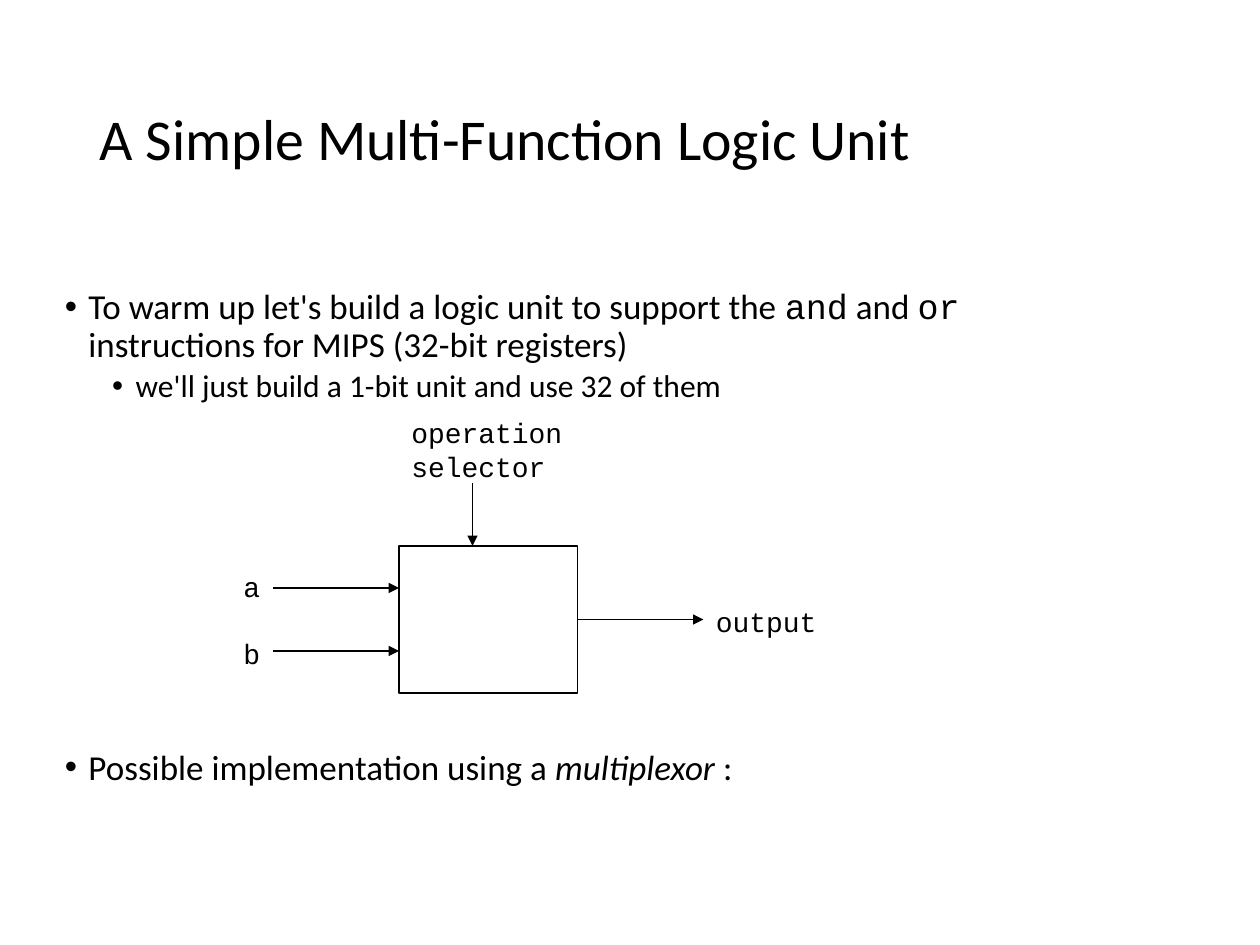
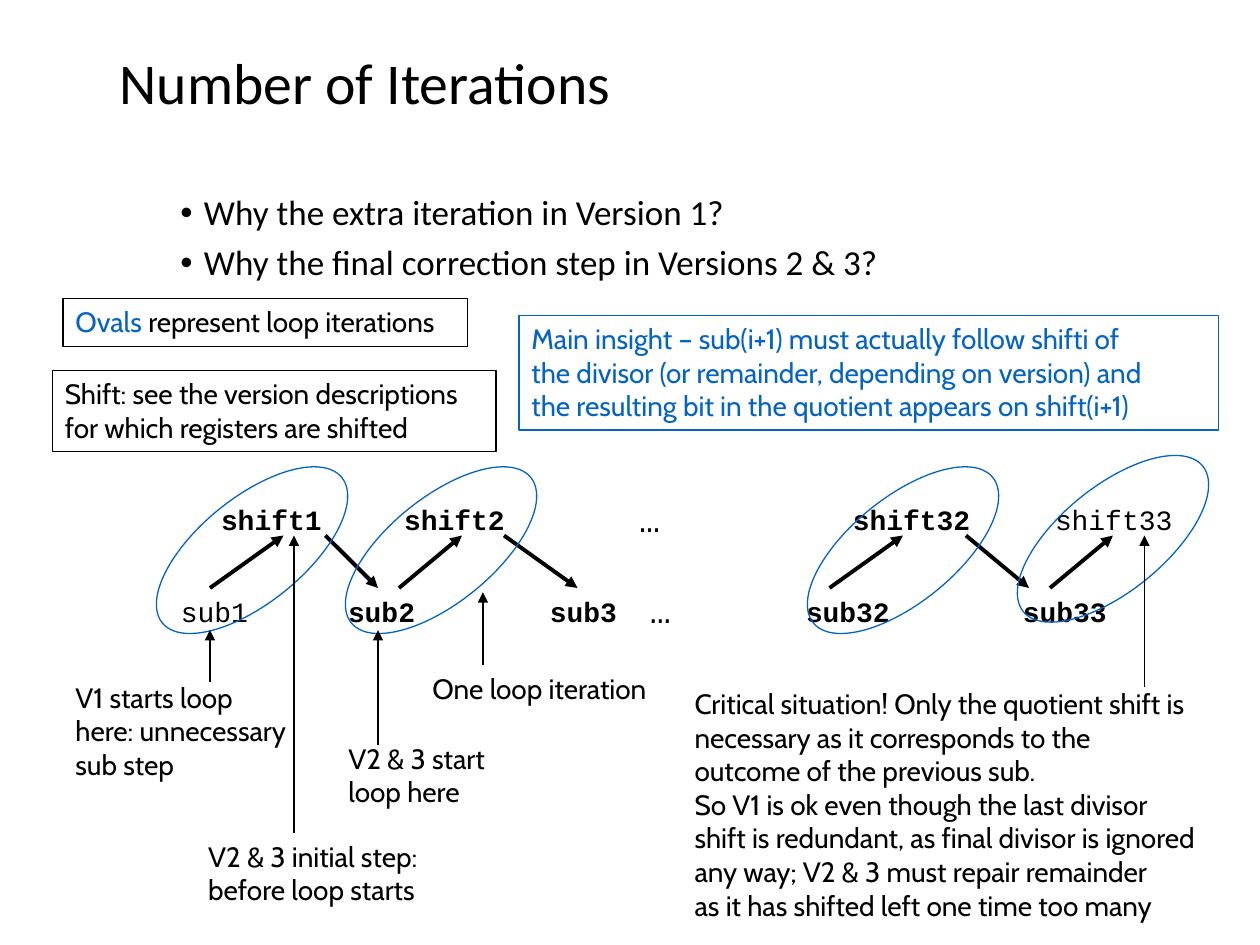
from lxml.etree import SubElement
from pptx import Presentation
from pptx.dml.color import RGBColor
from pptx.enum.shapes import MSO_CONNECTOR, MSO_SHAPE
from pptx.enum.text import MSO_ANCHOR, PP_ALIGN
from pptx.oxml.ns import qn
from pptx.util import Pt

BLACK = RGBColor(0x00, 0x00, 0x00)
BLUE = RGBColor(0x05, 0x63, 0xC1)

TITLE = {"name": "Calibri", "size": Pt(33)}
BODY = {"name": "Calibri", "size": Pt(20)}
SUB_BODY = {"name": "Calibri", "size": Pt(18)}
CODE = {"name": "Courier New", "size": Pt(16)}
CODE_BODY = {"name": "Courier New", "size": Pt(20)}
NOTE = {"name": "Cabin", "size": Pt(16)}
THIN, THICK = 0.75, 2.25
BULLET_INDENTS = (13.5, 40.5)
BULLET_HANG = 13.5
BULLET_GAPS = (7, 3)

LOGIC_TITLE = ("A Simple Multi-Function Logic Unit", (49.7, 28.8, 620.6, 104.4))
LOGIC_INTRO = [
    (0, [("To warm up let's build a logic unit to support the ", BODY),
         ("and", CODE_BODY), (" and ", BODY), ("or", CODE_BODY),
         (" instructions for MIPS (32-bit registers)", BODY)]),
    (1, [("we'll just build a 1-bit unit and use 32 of them", SUB_BODY)]),
]
LOGIC_CLOSING = [
    (0, [("Possible implementation using a ", BODY),
         ("multiplexor ", BODY | {"italic": True}), (":", BODY)]),
]
LOGIC_UNIT = (228, 312, 102, 84)
SIGNAL_ARROWS = [
    (156, 336, 228, 336),
    (156, 372, 228, 372),
    (330, 354, 402, 354),
    (270, 276, 270, 312),
]
SIGNAL_LABELS = [
    (["a"], (132, 322, 26, 26)),
    (["b"], (132, 360, 26, 26)),
    (["output"], (402, 342, 80, 26)),
    (["operation", "selector"], (228, 234, 104, 46)),
]

ITERATION_TITLE = ("Number of Iterations", (61.2, 0, 415.4, 98))
QUESTIONS = [
    (0, [("Why the extra iteration in Version 1?", BODY)]),
    (0, [("Why the final correction step in Versions 2 & 3?", BODY)]),
]
BOLD_CODE = CODE | {"bold": True}
SHIFT_BASELINE, SUB_BASELINE = 300.6, 353.1
STEPS = [
    (SHIFT_BASELINE, [("shift1", 126.3, BOLD_CODE), ("shift2", 230.9, BOLD_CODE),
                      ("…", 365.2, CODE_BODY), ("shift32", 487.4, BOLD_CODE),
                      ("shift33", 602.9, CODE)]),
    (SUB_BASELINE, [("sub1", 103.4, CODE), ("sub2", 198.9, BOLD_CODE),
                    ("sub3", 314.3, BOLD_CODE), ("…", 371.4, CODE_BODY),
                    ("sub32", 460.6, BOLD_CODE), ("sub33", 584.6, BOLD_CODE)]),
]
SHIFT_Y, SUB_Y = 306, 336
RISING_ARROWS = [(120, 162), (228, 264), (474, 516), (600, 636)]
FALLING_ARROWS = [(186, 216), (288, 330), (552, 588)]
LOOP_OVALS = [(78, 284.4), (186, 284.4), (450, 284.4), (570, 277.9)]
OVAL_SIZE = (132, 60)
OVAL_ROTATION = 321
POINTERS = [
    (654, 392.4, SHIFT_Y),
    (216, 426, 360),
    (120, 390, 360),
    (168, 476, SHIFT_Y),
    (276, 380, 338.4),
]
NOTES = [
    (["V1 starts loop", "here: unnecessary", "sub step"], (36, 385.2, 174.2, 65)),
    (["Critical situation! Only the quotient shift is",
      "necessary as it corresponds to the",
      "outcome of the previous sub.",
      "So V1 is ok even though the last divisor",
      "shift is redundant, as final divisor is ignored",
      "any way; V2 & 3 must repair remainder",
      "as it has shifted left one time too many"], (389.8, 388.8, 322.6, 142)),
    (["V2 & 3 start", "loop here"], (192, 420, 138.2, 46)),
    (["V2 & 3 initial step:", "before loop starts"], (111.9, 476, 144.7, 46)),
    (["One loop iteration"], (240, 380, 141, 26.6)),
]
BLUE_NOTE = NOTE | {"color": BLUE}
FRAMED_NOTES = [
    (BLACK, [[("Ovals ", BLUE_NOTE), ("represent loop iterations", NOTE)]],
     (36, 170.6, 231, 27.4)),
    (BLACK, [[("Shift: see the version descriptions", NOTE)],
             [("for which registers are shifted", NOTE)]],
     (30, 211.6, 253.5, 46.6)),
    (BLUE, [[("Main insight – sub(i+1) must actually follow shifti of", BLUE_NOTE)],
            [("the divisor (or remainder, depending on version) and", BLUE_NOTE)],
            [("the resulting bit in the quotient appears on shift(i+1)", BLUE_NOTE)]],
     (296.6, 180.2, 399.6, 65.6)),
]


def in_points(values):
    return [Pt(value) for value in values]


def add_runs(paragraph, runs):
    for text, style in runs:
        run = paragraph.add_run()
        run.text = text
        run.font.color.rgb = style.get("color", BLACK)
        for attribute, value in style.items():
            if attribute != "color":
                setattr(run.font, attribute, value)


def write_lines(frame, lines):
    frame.word_wrap = True
    frame.vertical_anchor = MSO_ANCHOR.TOP
    for index, runs in enumerate(lines):
        paragraph = frame.add_paragraph() if index else frame.paragraphs[0]
        paragraph.alignment = PP_ALIGN.LEFT
        add_runs(paragraph, runs)


def add_text(slide, lines, box):
    frame = slide.shapes.add_textbox(*in_points(box)).text_frame
    write_lines(frame, lines)
    return frame


def add_bullets(slide, items, box):
    frame = add_text(slide, [runs for _, runs in items], box)
    for index, (level, _) in enumerate(items):
        paragraph = frame.paragraphs[index]
        paragraph.level = level
        paragraph.line_spacing = 0.9
        if index:
            paragraph.space_before = Pt(BULLET_GAPS[level])
        properties = paragraph._p.get_or_add_pPr()
        properties.set("marL", str(Pt(BULLET_INDENTS[level])))
        properties.set("indent", str(-Pt(BULLET_HANG)))
        color = SubElement(properties, qn("a:buClr"))
        SubElement(color, qn("a:srgbClr"), val=str(BLACK))
        SubElement(properties, qn("a:buFont"), typeface="Arial")
        SubElement(properties, qn("a:buChar"), char="•")


def add_outline(slide, preset, box, color):
    outline = slide.shapes.add_shape(preset, *in_points(box))
    outline.shadow.inherit = False
    outline.fill.background()
    outline.line.color.rgb = color
    outline.line.width = Pt(THIN)
    return outline


def add_arrow(slide, ends, width=THIN):
    arrow = slide.shapes.add_connector(MSO_CONNECTOR.STRAIGHT, *in_points(ends))
    arrow.line.color.rgb = BLACK
    arrow.line.width = Pt(width)
    SubElement(arrow.line._get_or_add_ln(), qn("a:tailEnd"), type="triangle")
    SubElement(arrow._element.spPr, qn("a:effectLst"))


def add_titled_slide(deck, text, box):
    slide = deck.slides.add_slide(deck.slide_layouts[5])
    title = slide.shapes.title
    title.left, title.top, title.width, title.height = in_points(box)
    write_lines(title.text_frame, [[(text, TITLE)]])
    title.text_frame.vertical_anchor = MSO_ANCHOR.MIDDLE
    title.text_frame.paragraphs[0].line_spacing = 0.9
    return slide


def build_logic_unit(deck):
    slide = add_titled_slide(deck, *LOGIC_TITLE)
    add_bullets(slide, LOGIC_INTRO, (30, 162, 612, 75))
    add_bullets(slide, LOGIC_CLOSING, (30, 425, 612, 32))
    add_outline(slide, MSO_SHAPE.RECTANGLE, LOGIC_UNIT, BLACK)
    for ends in SIGNAL_ARROWS:
        add_arrow(slide, ends)
    for lines, box in SIGNAL_LABELS:
        add_text(slide, [[(line, CODE)] for line in lines], box)


def add_step(slide, text, left, baseline, style):
    size = style["size"].pt
    box = (left, baseline - 0.83 * size, 0.6 * size * len(text) + 4, 1.2 * size)
    frame = add_text(slide, [[(text, style)]], box)
    for side in ("left", "top", "right", "bottom"):
        setattr(frame, f"margin_{side}", 0)


def build_iterations(deck):
    slide = add_titled_slide(deck, *ITERATION_TITLE)
    add_bullets(slide, QUESTIONS, (96, 108, 612, 60))
    for baseline, steps in STEPS:
        for text, left, style in steps:
            add_step(slide, text, left, baseline, style)
    for start, end in RISING_ARROWS:
        add_arrow(slide, (start, SUB_Y, end, SHIFT_Y), THICK)
    for start, end in FALLING_ARROWS:
        add_arrow(slide, (start, SHIFT_Y, end, SUB_Y), THICK)
    for corner in LOOP_OVALS:
        oval = add_outline(slide, MSO_SHAPE.OVAL, corner + OVAL_SIZE, BLUE)
        oval.rotation = OVAL_ROTATION
    for x, start, end in POINTERS:
        add_arrow(slide, (x, start, x, end))
    for lines, box in NOTES:
        add_text(slide, [[(line, NOTE)] for line in lines], box)
    for color, lines, box in FRAMED_NOTES:
        frame = add_outline(slide, MSO_SHAPE.RECTANGLE, box, color).text_frame
        write_lines(frame, lines)


def main():
    deck = Presentation()
    deck.slide_width, deck.slide_height = Pt(720), Pt(540)
    build_logic_unit(deck)
    build_iterations(deck)
    deck.save("out.pptx")


if __name__ == "__main__":
    main()
